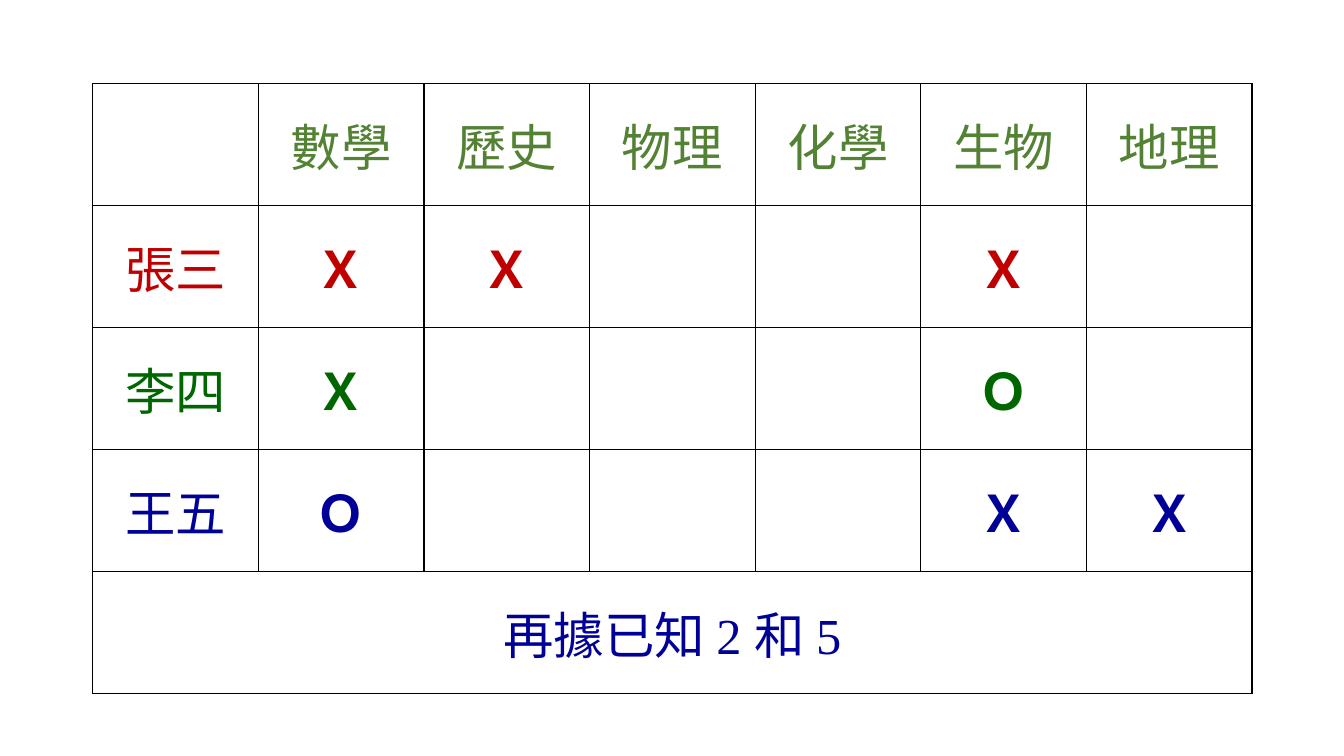
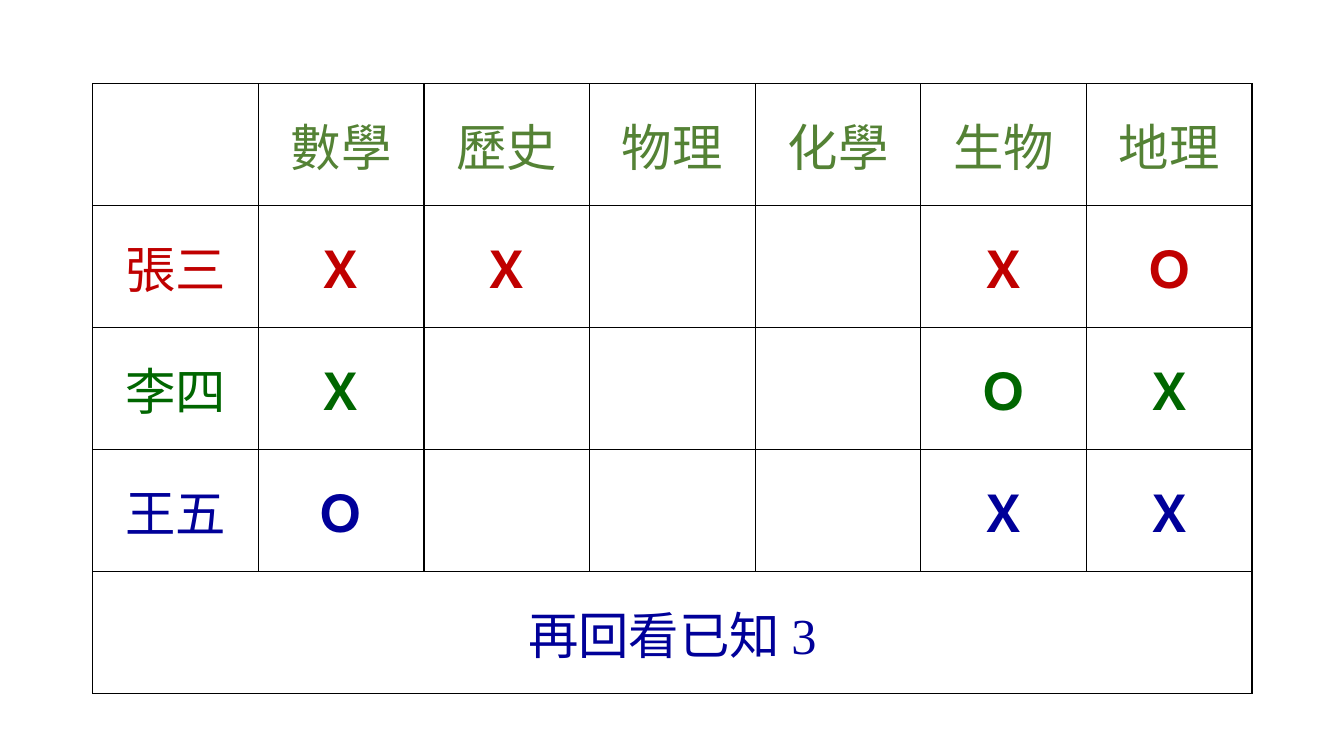
from lxml.etree import SubElement
from pptx import Presentation
from pptx.dml.color import RGBColor
from pptx.enum.text import MSO_ANCHOR, PP_ALIGN
from pptx.oxml.ns import qn
from pptx.util import Inches, Pt

SUBJECTS = ["數學", "歷史", "物理", "化學", "生物", "地理"]
STUDENTS = [("張三", "C00000"), ("李四", "006600"), ("王五", "000099")]
HEADER_COLOR, NOTE_COLOR, BORDER_COLOR = "548235", "000099", "000000"
HEADING_FONT, NOTE_FONT = "Lato", "Times New Roman"
TEXT_SIZE, BORDER_WIDTH = 36, 1
STEPS = [
    {
        "marks": ["ＸＸ--Ｘ-", "Ｘ---Ｏ-", "Ｏ---ＸＸ"],
        "note": [("再據已", HEADING_FONT), ("知 2 和 5", NOTE_FONT)],
    },
    {
        "marks": ["ＸＸ--ＸＯ", "Ｘ---ＯＸ", "Ｏ---ＸＸ"],
        "note": [("再回看已", HEADING_FONT), ("知 3", NOTE_FONT)],
    },
]

SLIDE_WIDTH, SLIDE_HEIGHT = Inches(13.33), Inches(7.5)
TABLE_LEFT, TABLE_TOP = Inches(0.92), Inches(0.83)
TABLE_WIDTH, TABLE_HEIGHT = Inches(11.5), Inches(6.05)
COLUMNS, ROWS = len(SUBJECTS) + 1, len(STUDENTS) + 2


def color(value):
    return RGBColor.from_string(value)


def outline(cell):
    properties = cell._tc.get_or_add_tcPr()
    for side in ("a:lnL", "a:lnR", "a:lnT", "a:lnB"):
        line = SubElement(properties, qn(side), w=str(Pt(BORDER_WIDTH)))
        fill = SubElement(line, qn("a:solidFill"))
        SubElement(fill, qn("a:srgbClr"), val=BORDER_COLOR)


def write(cell, runs, text_color, bold=False):
    para = cell.text_frame.paragraphs[0]
    para.alignment = PP_ALIGN.CENTER
    for text, font_name in runs:
        span = para.add_run()
        span.text = text
        style = {"name": font_name, "size": Pt(TEXT_SIZE), "bold": bold}
        for name, value in style.items():
            setattr(span.font, name, value)
        span.font.color.rgb = color(text_color)


def add_grid(page):
    frame = page.shapes.add_table(
        ROWS, COLUMNS, TABLE_LEFT, TABLE_TOP, TABLE_WIDTH, TABLE_HEIGHT
    )
    grid = frame.table
    grid.first_row = grid.horz_banding = False
    for cell in grid.iter_cells():
        outline(cell)
        cell.fill.background()
        cell.vertical_anchor = MSO_ANCHOR.MIDDLE
    return grid


def add_step(deck, step):
    page = deck.slides.add_slide(deck.slide_layouts[6])
    grid = add_grid(page)
    for column, subject in enumerate(SUBJECTS, 1):
        write(grid.cell(0, column), [(subject, HEADING_FONT)], HEADER_COLOR)
    for row, ((student, tint), marks) in enumerate(zip(STUDENTS, step["marks"]), 1):
        write(grid.cell(row, 0), [(student, HEADING_FONT)], tint)
        for column, mark in enumerate(marks, 1):
            if mark != "-":
                write(grid.cell(row, column), [(mark, HEADING_FONT)], tint, bold=True)
    note_cell = grid.cell(ROWS - 1, 0)
    note_cell.merge(grid.cell(ROWS - 1, COLUMNS - 1))
    write(note_cell, step["note"], NOTE_COLOR)


deck = Presentation()
deck.slide_width, deck.slide_height = SLIDE_WIDTH, SLIDE_HEIGHT
for step in STEPS:
    add_step(deck, step)
deck.save("out.pptx")
